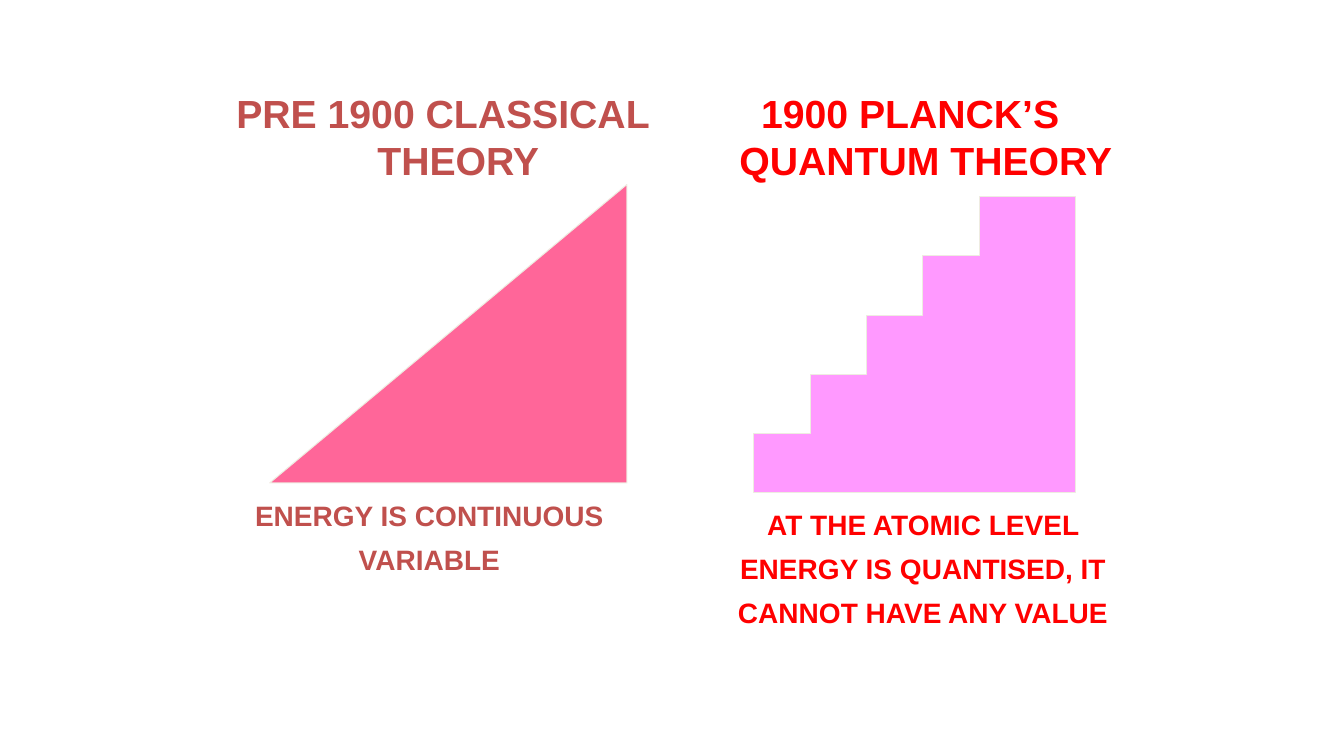
from pptx import Presentation
from pptx.dml.color import RGBColor
from pptx.enum.shapes import MSO_SHAPE
from pptx.enum.text import PP_ALIGN
from pptx.util import Cm, Pt

CENTER = PP_ALIGN.CENTER
WEDGE = MSO_SHAPE.RIGHT_TRIANGLE

deck = Presentation()
deck.slide_width, deck.slide_height = Cm(33.87), Cm(19.05)
slide = deck.slides.add_slide(deck.slide_layouts[6])


def color(fmt, code):
    fmt.rgb = RGBColor.from_string(code)


def write(text, box, size, tint, space=1.0, hang=0):
    frame = slide.shapes.add_textbox(*[Cm(v) for v in box]).text_frame
    frame.word_wrap = True
    para = frame.paragraphs[0]
    para.text = text
    para.alignment = CENTER
    para.line_spacing = space
    if hang:
        props = para._p.get_or_add_pPr()
        props.set("marL", str(Cm(hang)))
        props.set("indent", str(-Cm(hang)))
    font = para.runs[0].font
    font.name, font.size, font.bold = "Arial", Pt(size), True
    color(font.color, tint)


ramp = slide.shapes.add_shape(WEDGE, Cm(6.8), Cm(4.65), Cm(9), Cm(7.52))
ramp._element.spPr.xfrm.set("flipH", "1")

left, right, base, top = 19, 27.1, 12.4, 10.92
run, rise = 1.42, 1.49
edge = []
for step in range(5):
    x, y = left + step * run, top - step * rise
    edge += [(x, y), (x + run, y)]
edge[-1] = (right, edge[-1][1])
edge.append((right, base))
path = slide.shapes.build_freeform(Cm(left), Cm(base))
path.add_line_segments([(Cm(x), Cm(y)) for x, y in edge], close=True)
stairs = path.convert_to_shape()

for shape, tint in ((ramp, "FF6699"), (stairs, "FF99FF")):
    shape.shadow.inherit = False
    shape.fill.solid()
    color(shape.fill.fore_color, tint)
    color(shape.line.color, "EEECE1")
    shape.line.width = Pt(0.75)

sides = [
    ("C0504D", "PRE 1900 CLASSICAL THEORY", (5.54, 2.13, 11.23, 13.18),
     "ENERGY IS CONTINUOUS VARIABLE", (5.74, 12.19, 10.16, 2.46)),
    ("FF0000", "1900 PLANCK’S QUANTUM THEORY", (17.32, 2.13, 11.23, 13.79),
     "AT THE ATOMIC LEVEL ENERGY IS QUANTISED, IT CANNOT HAVE ANY VALUE",
     (17.53, 12.42, 11.46, 3.56)),
]
for tint, title, head, note, foot in sides:
    write(title, head, 28, tint, hang=0.79)
    write(note, foot, 20, tint, space=1.3)

deck.save("out.pptx")
